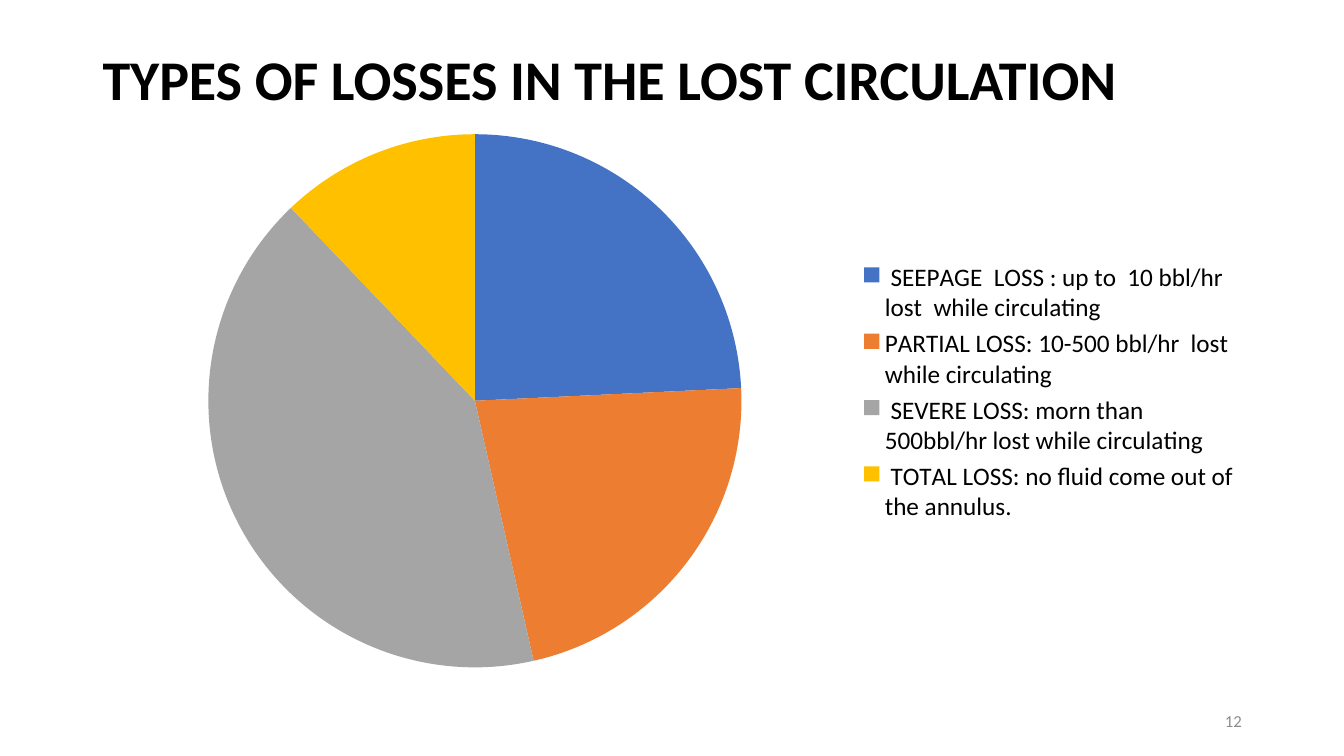
"""Build a slide with a pie chart of the types of lost circulation."""
import pptx
import pptx.chart.data
import pptx.dml.color
import pptx.enum.chart
import pptx.enum.text
import pptx.oxml
import pptx.oxml.ns
import pptx.util

Cm = pptx.util.Cm
Pt = pptx.util.Pt
RGBColor = pptx.dml.color.RGBColor

BLACK = RGBColor(0x00, 0x00, 0x00)
GRAY = RGBColor(0x8C, 0x8C, 0x8C)
BLUE = RGBColor(0x44, 0x72, 0xC4)
ORANGE = RGBColor(0xED, 0x7D, 0x31)
SILVER = RGBColor(0xA5, 0xA5, 0xA5)
GOLD = RGBColor(0xFF, 0xC0, 0x00)
FONT = "Calibri"

TITLE = "TYPES OF LOSSES IN THE LOST CIRCULATION"
PAGE_NUMBER = "12"
LOSSES = [
    (" SEEPAGE  LOSS : up to  10 bbl/hr  lost  while circulating", 24, BLUE),
    ("PARTIAL LOSS: 10-500 bbl/hr  lost while circulating", 22, ORANGE),
    (" SEVERE LOSS: morn than  500bbl/hr lost while circulating", 41, SILVER),
    (" TOTAL LOSS: no fluid come out of the annulus.", 12, GOLD),
]
LEFT, WIDTH = Cm(2.33), Cm(29.21)
PIE_AREA = {"x": 0.1, "y": 0.03, "w": 0.46, "h": 0.95}
LEGEND_AREA = {"x": 0.66, "y": 0.25, "w": 0.33, "h": 0.48}


def style_font(font, size, color, bold=False):
    """Apply the slide's typeface with a size and colour."""
    font.name = FONT
    font.size = Pt(size)
    font.bold = bold
    font.color.rgb = color


def make_layout(area, inner=False):
    """Return a chart layout element for fractions of the chart frame."""
    target = '<c:layoutTarget val="inner"/>' if inner else ""
    modes = "".join(f'<c:{side}Mode val="edge"/>' for side in "xy")
    sizes = "".join(f'<c:{side} val="{value}"/>' for side, value in area.items())
    namespace = pptx.oxml.ns.nsdecls("c")
    return pptx.oxml.parse_xml(
        f"<c:layout {namespace}><c:manualLayout>{target}{modes}{sizes}"
        "</c:manualLayout></c:layout>"
    )


def place(parent, layout, before):
    """Put a layout ahead of one child, replacing any earlier layout."""
    for old in parent.findall(pptx.oxml.ns.qn("c:layout")):
        parent.remove(old)
    parent.find(pptx.oxml.ns.qn(before)).addprevious(layout)


def add_title(page):
    """Fill and place the title."""
    title = page.shapes.title
    title.left, title.top, title.width, title.height = LEFT, Cm(1.02), WIDTH, Cm(2.11)
    frame = title.text_frame
    frame.text = TITLE
    frame.word_wrap = True
    frame.vertical_anchor = pptx.enum.text.MSO_ANCHOR.MIDDLE
    para = frame.paragraphs[0]
    para.alignment = pptx.enum.text.PP_ALIGN.LEFT
    para.line_spacing = 0.9
    style_font(para.runs[0].font, 40, BLACK, bold=True)


def add_pie(page):
    """Add the pie of loss types with its legend."""
    data = pptx.chart.data.CategoryChartData()
    data.categories = [label for label, _, _ in LOSSES]
    data.add_series("Series 1", [value for _, value, _ in LOSSES])
    chart = page.shapes.add_chart(
        pptx.enum.chart.XL_CHART_TYPE.PIE, LEFT, Cm(2.92), WIDTH, Cm(14.22), data
    ).chart
    style_font(chart.font, 18, BLACK)
    chart.has_title = False
    chart.has_legend = True
    chart.legend.position = pptx.enum.chart.XL_LEGEND_POSITION.RIGHT
    chart.legend.include_in_layout = False
    style_font(chart.legend.font, 18, BLACK)

    plot = chart.plots[0]
    plot.vary_by_categories = True
    for index, (_, _, color) in enumerate(LOSSES):
        slice_format = plot.series[0].points[index].format
        slice_format.fill.solid()
        slice_format.fill.fore_color.rgb = color
        slice_format.line.fill.background()

    plot_area = chart.element.find(".//" + pptx.oxml.ns.qn("c:plotArea"))
    legend = chart.element.find(".//" + pptx.oxml.ns.qn("c:legend"))
    place(plot_area, make_layout(PIE_AREA, inner=True), "c:pieChart")
    place(legend, make_layout(LEGEND_AREA), "c:overlay")


def add_page_number(page):
    """Add the page number at the lower right."""
    box = page.shapes.add_textbox(Cm(23.93), Cm(17.65), Cm(7.62), Cm(1.02))
    frame = box.text_frame
    frame.text = PAGE_NUMBER
    frame.word_wrap = True
    frame.vertical_anchor = pptx.enum.text.MSO_ANCHOR.MIDDLE
    para = frame.paragraphs[0]
    para.alignment = pptx.enum.text.PP_ALIGN.RIGHT
    style_font(para.runs[0].font, 12, GRAY)


def main():
    """Build and save the deck."""
    deck = pptx.Presentation()
    deck.slide_width, deck.slide_height = Cm(33.87), Cm(19.05)
    page = deck.slides.add_slide(deck.slide_layouts.get_by_name("Title Only"))
    add_page_number(page)
    add_pie(page)
    add_title(page)
    deck.save("out.pptx")


if __name__ == "__main__":
    main()
